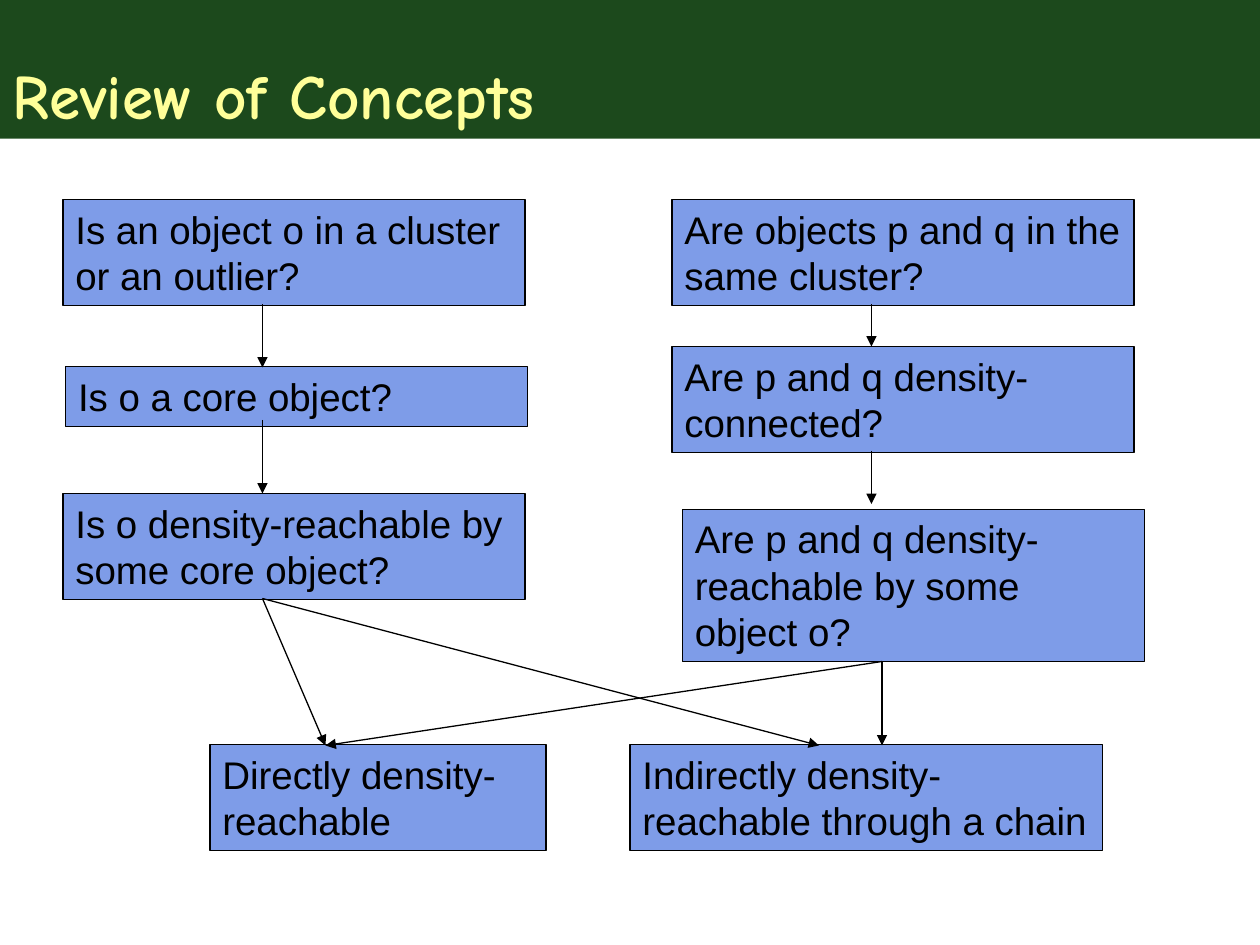
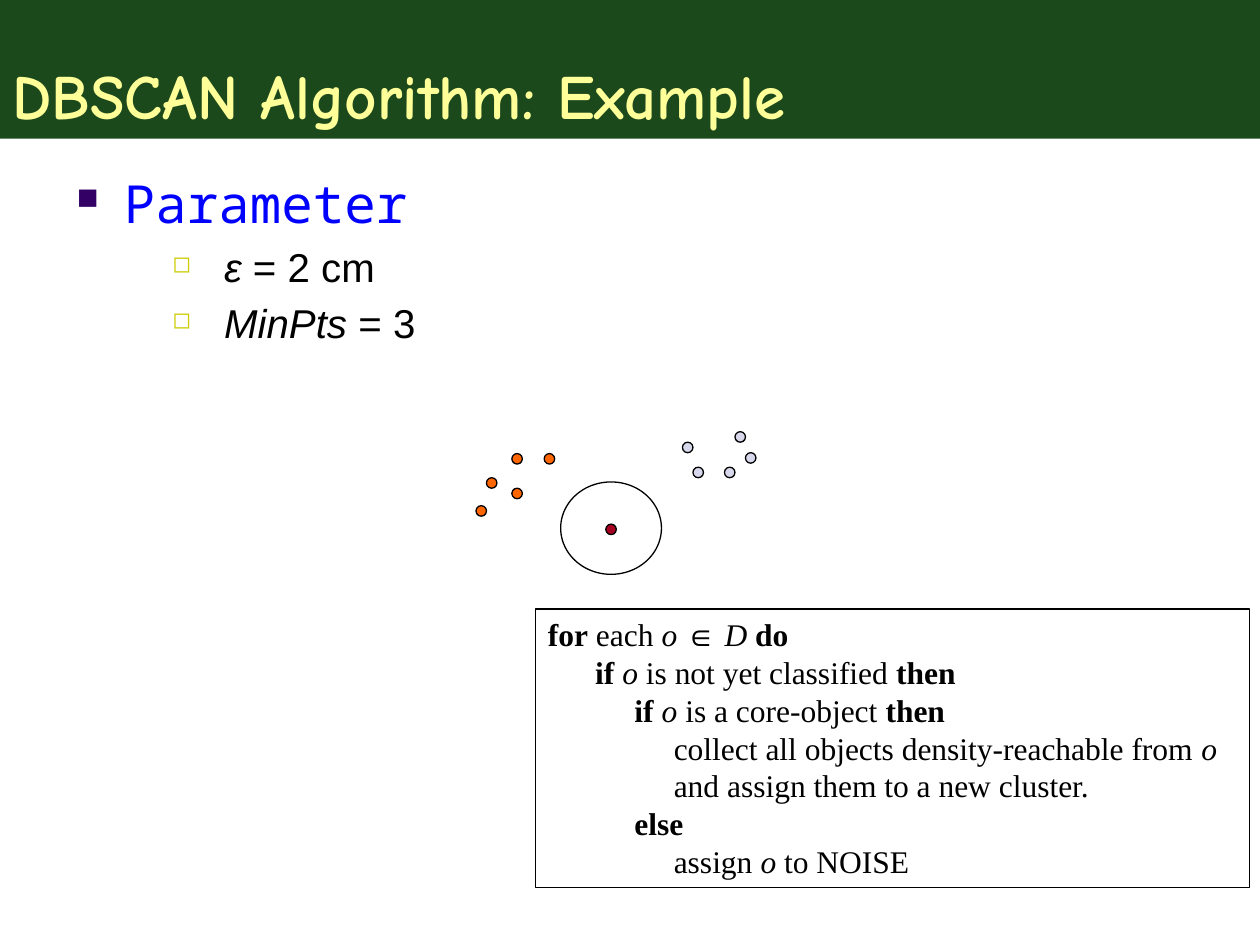
from dataclasses import dataclass

from lxml import etree
from pptx import Presentation
from pptx import util as u
from pptx.dml import color
from pptx.enum import shapes, text
from pptx.oxml import ns

# Content: question boxes as name: (text, left, top, width, height)
REVIEW_TITLE = "Review of Concepts"
ONE_LINE, TWO_LINES, THREE_LINES = 34.3, 60.5, 87
QUESTION_WIDTH = 264
CONCEPTS = {
    "same cluster": ("Are objects p and q in the same cluster?", 384, 114, QUESTION_WIDTH, TWO_LINES),
    "connected": ("Are p and q density-connected?", 384, 198, QUESTION_WIDTH, TWO_LINES),
    "reachable pair": ("Are p and q density-reachable by some object o?", 390, 291, QUESTION_WIDTH, THREE_LINES),
    "direct": ("Directly density-reachable", 120, 425.5, 192, TWO_LINES),
    "indirect": ("Indirectly density-reachable through a chain", 360, 425.5, 270, TWO_LINES),
    "outlier": ("Is an object o in a cluster or an outlier?", 36, 114, QUESTION_WIDTH, TWO_LINES),
    "core": ("Is o a core object?", 37.5, 209.5, QUESTION_WIDTH, ONE_LINE),
    "reachable object": ("Is o density-reachable by some core object?", 36, 282, QUESTION_WIDTH, TWO_LINES),
}
LEFT_AXIS, RIGHT_AXIS, PAIR_AXIS = 150, 498, 504
DIRECT_TIP, INDIRECT_TIP, ANSWER_TOP = 186, 468, 426
ARROWS = [
    ((LEFT_AXIS, 174), (LEFT_AXIS, 210)),
    ((LEFT_AXIS, 240), (LEFT_AXIS, 282)),
    ((LEFT_AXIS, 342), (DIRECT_TIP, ANSWER_TOP)),
    ((LEFT_AXIS, 342), (INDIRECT_TIP, ANSWER_TOP)),
    ((RIGHT_AXIS, 174), (RIGHT_AXIS, 198)),
    ((RIGHT_AXIS, 258), (RIGHT_AXIS, 288)),
    ((PAIR_AXIS, 378), (DIRECT_TIP, ANSWER_TOP)),
    ((PAIR_AXIS, 378), (PAIR_AXIS, ANSWER_TOP)),
]

# Runs are (text, style): b bold, i italic, s symbol
EXAMPLE_TITLE = "DBSCAN Algorithm: Example"
PARAMETERS = [
    ("heading", [("Parameter", "")]),
    ("item", [("ε", "i"), (" = 2 cm", "")]),
    ("item", [("MinPts", "i"), (" = 3", "")]),
]
ALGORITHM = [
    [("for", "b"), (" each ", ""), ("o ", "i"), ("∈", "s"), (" D ", "i"), ("do", "b")],
    [("      if ", "b"), ("o", "i"), (" is not yet classified ", ""), ("then", "b")],
    [("           if ", "b"), ("o", "i"), (" is a core-object ", ""), ("then", "b")],
    [("                collect all objects density-reachable from ", ""), ("o", "i")],
    [("                and assign them to a new cluster.", "")],
    [("           else", "b")],
    [("                assign ", ""), ("o", "i"), (" to NOISE", "")],
]
DOT_SIZE = 6
CLUSTERS = {  # colour name: top-left corners of the dots
    "orange": [(272, 289), (292.5, 259.2), (311, 259.2), (278, 273), (292.5, 279)],
    "lavender": [(396, 267), (390, 252.7), (414, 267), (426, 258.7), (420, 246.7)],
    "crimson": [(346.2, 299.5)],
}
NEIGHBOURHOOD = (320.4, 275.4, 57.6, 52.8)


@dataclass(frozen=True)
class Theme:
    band: str = "003300"
    band_opacity: int = 89
    title: str = "FFFF99"
    box: str = "7E9CE8"
    ink: str = "000000"
    heading: str = "0000FF"
    heading_bullet: str = "330066"
    item_bullet: str = "CCCC00"
    bullet_percent: int = 57
    orange: str = "FF6600"
    lavender: str = "D8D8EC"
    crimson: str = "A50021"
    line_width: float = 0.75
    title_font: str = "Comic Neue"
    heading_font: str = "Noto Sans Mono"
    body_font: str = "Arial"
    code_font: str = "Times New Roman"
    title_size: int = 36
    heading_size: int = 30
    item_size: int = 23
    box_size: int = 22
    code_size: int = 18


THEME = Theme()
TITLE_FORMAT = dict(name=THEME.title_font, size=THEME.title_size, color=THEME.title, bold=True)
BOX_FORMAT = dict(name=THEME.body_font, size=THEME.box_size, color=THEME.ink)
CODE_FORMAT = dict(name=THEME.code_font, size=THEME.code_size, color=THEME.ink)
LEVELS = {
    "heading": dict(
        font=dict(name=THEME.heading_font, size=THEME.heading_size, color=THEME.heading),
        bullet="■", bullet_color=THEME.heading_bullet, left=27, hanging=27, before=0),
    "item": dict(
        font=dict(name=THEME.body_font, size=THEME.item_size, color=THEME.ink),
        bullet="◻", bullet_color=THEME.item_bullet, left=84.3, hanging=29.6, before=4.5),
}
RUN_STYLES = {"": {}, "b": {"bold": True}, "i": {"italic": True}, "s": {"name": THEME.body_font}}


def points(*values):
    return [u.Pt(value) for value in values]


def add_element(parent, tag, **attributes):
    return etree.SubElement(parent, ns.qn(tag), attributes)


def format_font(font, values):
    for key, value in values.items():
        if key == "color":
            font.color.rgb = color.RGBColor.from_string(value)
        else:
            setattr(font, key, u.Pt(value) if key == "size" else value)


def add_runs(paragraph, runs, base):
    for words, style in runs:
        run = paragraph.add_run()
        run.text = words
        format_font(run.font, {**base, **RUN_STYLES[style]})


def write(frame, lines, base, anchor=text.MSO_ANCHOR.TOP):
    frame.word_wrap = True
    frame.vertical_anchor = anchor
    for index, runs in enumerate(lines):
        paragraph = frame.paragraphs[0] if index == 0 else frame.add_paragraph()
        paragraph.alignment = text.PP_ALIGN.LEFT
        add_runs(paragraph, runs, base)


def add_shape(slide, kind, area, fill=None, outlined=True):
    shape = slide.shapes.add_shape(kind, *points(*area))
    shape.shadow.inherit = False
    if fill:
        shape.fill.solid()
        shape.fill.fore_color.rgb = color.RGBColor.from_string(fill)
    else:
        shape.fill.background()
    if outlined:
        shape.line.color.rgb = color.RGBColor.from_string(THEME.ink)
        shape.line.width = u.Pt(THEME.line_width)
    else:
        shape.line.fill.background()
    return shape


def add_arrow(slide, start, end):
    arrow = slide.shapes.add_connector(shapes.MSO_CONNECTOR.STRAIGHT, *points(*start, *end))
    arrow.line.color.rgb = color.RGBColor.from_string(THEME.ink)
    arrow.line.width = u.Pt(THEME.line_width)
    add_element(arrow.line._get_or_add_ln(), "a:tailEnd", type="triangle")
    add_element(arrow._element.spPr, "a:effectLst")


def add_title(slide, title):
    band = add_shape(slide, shapes.MSO_SHAPE.RECTANGLE, (0, 0, 720, 79.2), THEME.band, outlined=False)
    band_color = band._element.spPr.find(ns.qn("a:solidFill"))[0]
    add_element(band_color, "a:alpha", val=str(THEME.band_opacity * 1000))
    write(band.text_frame, [[(title, "")]], TITLE_FORMAT, text.MSO_ANCHOR.BOTTOM)


def add_bullet(paragraph, level):
    properties = paragraph._p.get_or_add_pPr()
    properties.set("marL", str(u.Pt(level["left"])))
    properties.set("indent", str(-u.Pt(level["hanging"])))
    bullet_color = add_element(properties, "a:buClr")
    add_element(bullet_color, "a:srgbClr", val=level["bullet_color"])
    add_element(properties, "a:buSzPct", val=str(THEME.bullet_percent * 1000))
    add_element(properties, "a:buChar", char=level["bullet"])


def build_review(slide):
    for words, *area in CONCEPTS.values():
        box = add_shape(slide, shapes.MSO_SHAPE.RECTANGLE, area, THEME.box)
        write(box.text_frame, [[(words, "")]], BOX_FORMAT)
    for start, end in ARROWS:
        add_arrow(slide, start, end)
    add_title(slide, REVIEW_TITLE)


def build_example(slide):
    # Parameter list
    frame = slide.shapes.add_textbox(*points(36.7, 94.3, 648, 414)).text_frame
    frame.word_wrap = True
    for index, (level_name, runs) in enumerate(PARAMETERS):
        level = LEVELS[level_name]
        paragraph = frame.paragraphs[0] if index == 0 else frame.add_paragraph()
        add_bullet(paragraph, level)
        paragraph.space_before = u.Pt(level["before"])
        add_runs(paragraph, runs, level["font"])

    # Scatter of objects, with one neighbourhood
    add_shape(slide, shapes.MSO_SHAPE.OVAL, NEIGHBOURHOOD)
    for color_name, corners in CLUSTERS.items():
        for corner in corners:
            area = (*corner, DOT_SIZE, DOT_SIZE)
            add_shape(slide, shapes.MSO_SHAPE.OVAL, area, getattr(THEME, color_name))

    # Algorithm
    box = add_shape(slide, shapes.MSO_SHAPE.RECTANGLE, (306, 348, 408, 159))
    write(box.text_frame, ALGORITHM, CODE_FORMAT)
    add_title(slide, EXAMPLE_TITLE)


def main():
    presentation = Presentation()
    presentation.slide_width, presentation.slide_height = points(720, 540)
    blank = presentation.slide_layouts[6]
    for build in (build_review, build_example):
        build(presentation.slides.add_slide(blank))
    presentation.save("out.pptx")


if __name__ == "__main__":
    main()
